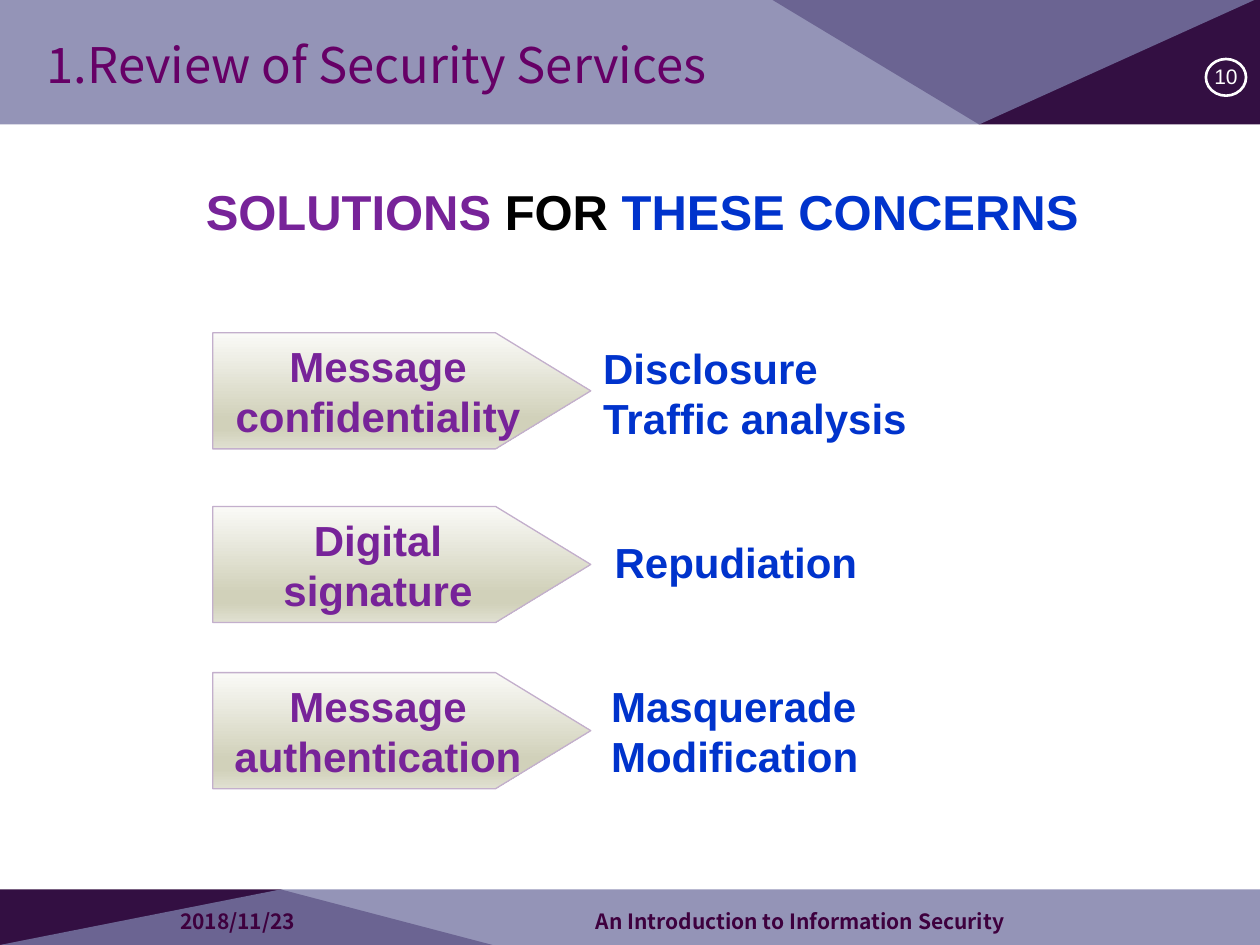
from dataclasses import dataclass

from lxml import etree
from pptx import Presentation
from pptx.dml.color import RGBColor
from pptx.enum import shapes, text
from pptx.oxml import ns
from pptx.util import Cm, Pt

COLOURS = {
    "dark": "330F42", "lavender": "7A7AA6", "title": "660066", "footer": "3E003E",
    "purple": "772399", "blue": "0033CC", "black": "000000", "white": "FFFFFF",
    "outline": "C3AFCC", "ivory": "FAFAF7", "sand": "D1D1BA", "shell": "E0E0D1",
}
PLATE_STOPS = ((0, "ivory"), (74, "sand"), (83, "sand"), (100, "shell"))
SANS, CJK = "Arial", "Noto Sans CJK SC"
WIDTH, HEIGHT = 25.4, 19.05
HEADER_TOP, HEADER_BOTTOM, FOOTER_TOP = -0.05, 2.51, 17.93
PLATE_LEFT, PLATE_WIDTH, PLATE_HEIGHT = 4.29, 7.62, 2.34


@dataclass
class Band:
    points: list[tuple[float, float]]
    colour: str
    opacity: int = 100


@dataclass
class Solution:
    service: str
    plate_top: float
    concerns: str
    concerns_at: tuple[float, float, float, float]


BANDS = [
    Band([(0, HEIGHT), (0, FOOTER_TOP), (5.66, FOOTER_TOP), (9.93, HEIGHT)], "dark"),
    Band([(0, HEIGHT), (5.66, FOOTER_TOP), (WIDTH, FOOTER_TOP), (WIDTH, HEIGHT)],
         "lavender", 80),
    Band([(WIDTH, HEADER_TOP), (WIDTH, HEADER_BOTTOM), (19.74, HEADER_BOTTOM),
          (15.49, HEADER_TOP)], "dark"),
    Band([(WIDTH, HEADER_TOP), (19.74, HEADER_BOTTOM), (0, HEADER_BOTTOM),
          (0, HEADER_TOP)], "lavender", 80),
]
SOLUTIONS = [
    Solution("Message\nconfidentiality", 6.71, "Disclosure\nTraffic analysis",
             (11.91, 6.78, 6.8, 2.31)),
    Solution("Digital\nsignature", 10.21, "Repudiation", (12.14, 10.69, 5.6, 1.27)),
    Solution("Message\nauthentication", 13.56, "Masquerade\nModification",
             (12.07, 13.59, 5.7, 2.31)),
]


def rgb(name: str) -> RGBColor:
    return RGBColor.from_string(COLOURS[name])


def lengths(*values: float) -> list[Cm]:
    return [Cm(value) for value in values]


def write(shape, content, *, size=24, font=SANS, colour="blue", bold=True,
          centred=False, middle=False, wrap=False) -> None:
    """Fill a shape with lines of text, or with one line of (text, colour) spans."""
    frame = shape.text_frame
    frame.word_wrap = wrap
    frame.vertical_anchor = text.MSO_ANCHOR.MIDDLE if middle else text.MSO_ANCHOR.TOP
    if isinstance(content, str):
        lines = [[(line, colour)] for line in content.split("\n")]
    else:
        lines = [content]
    for index, spans in enumerate(lines):
        para = frame.paragraphs[0] if index == 0 else frame.add_paragraph()
        para.alignment = text.PP_ALIGN.CENTER if centred else text.PP_ALIGN.LEFT
        for words, span_colour in spans:
            span = para.add_run()
            span.text = words
            span.font.name, span.font.size, span.font.bold = font, Pt(size), bold
            span.font.color.rgb = rgb(span_colour)


def add_text(page, at: tuple[float, float, float, float], content, **style) -> None:
    write(page.shapes.add_textbox(*lengths(*at)), content, **style)


def draw_band(page, band: Band) -> None:
    start, *others = [lengths(*point) for point in band.points]
    builder = page.shapes.build_freeform(*start)
    builder.add_line_segments(others, close=True)
    shape = builder.convert_to_shape()
    shape.shadow.inherit = False
    shape.line.fill.background()
    shape.fill.solid()
    shape.fill.fore_color.rgb = rgb(band.colour)
    if band.opacity < 100:
        colour = shape.element.spPr.find(ns.qn("a:solidFill")).find(ns.qn("a:srgbClr"))
        etree.SubElement(colour, ns.qn("a:alpha"), val=str(band.opacity * 1000))


def fill_plate(plate) -> None:
    """Give a plate its four-stop gradient, running from top to bottom."""
    plate.fill.gradient()
    plate.fill.gradient_angle = 270
    stops = plate.element.spPr.find(ns.qn("a:gradFill")).find(ns.qn("a:gsLst"))
    for stop in list(stops):
        stops.remove(stop)
    for position, name in PLATE_STOPS:
        stop = etree.SubElement(stops, ns.qn("a:gs"), pos=str(position * 1000))
        etree.SubElement(stop, ns.qn("a:srgbClr"), val=COLOURS[name])


def draw_solution(page, solution: Solution) -> None:
    plate = page.shapes.add_shape(
        shapes.MSO_SHAPE.PENTAGON,
        *lengths(PLATE_LEFT, solution.plate_top, PLATE_WIDTH, PLATE_HEIGHT))
    plate.adjustments[0] = 0.82
    plate.shadow.inherit = False
    fill_plate(plate)
    plate.line.color.rgb = rgb("outline")
    plate.line.width = Pt(0.75)
    write(plate, solution.service, colour="purple", centred=True, middle=True)
    add_text(page, solution.concerns_at, solution.concerns)


def draw_page_number(page, number: str) -> None:
    ring = page.shapes.add_shape(shapes.MSO_SHAPE.OVAL, *lengths(24.31, 1.19, 0.81, 0.74))
    ring.shadow.inherit = False
    ring.fill.background()
    ring.line.color.rgb = rgb("white")
    ring.line.width = Pt(1.5)
    frame = ring.text_frame
    frame.margin_left = frame.margin_right = Cm(0.03)
    frame.margin_top = frame.margin_bottom = Cm(0.03)
    write(ring, number, size=12, colour="white", bold=False, centred=True, middle=True,
          wrap=True)
    frame.paragraphs[0].line_spacing = 0.9


def place_title(page, words: str) -> None:
    title = page.shapes.title
    title.left, title.top, title.width, title.height = lengths(0.69, 0.53, 16.2, 1.52)
    write(title, words, size=28, font=CJK, colour="title", bold=False, middle=True,
          wrap=True)
    title.element.getparent().append(title.element)  # in front of the bands


def main() -> None:
    deck = Presentation()
    deck.slide_width, deck.slide_height = lengths(WIDTH, HEIGHT)
    page = deck.slides.add_slide(deck.slide_layouts[5])
    for band in BANDS:
        draw_band(page, band)
    draw_page_number(page, "10")
    footer = dict(size=12, font=CJK, colour="footer", middle=True, wrap=True)
    add_text(page, (3.38, 18.19, 5.92, 0.74), "2018/11/23", **footer)
    add_text(page, (11.76, 18.19, 12.14, 0.74),
             "An Introduction to Information Security", **footer)
    place_title(page, "1.Review of Security Services")
    add_text(page, (3.89, 3.53, 18.11, 1.45),
             [("SOLUTIONS ", "purple"), ("FOR", "black"), (" THESE CONCERNS", "blue")],
             size=28, centred=True)
    for solution in SOLUTIONS:
        draw_solution(page, solution)
    deck.save("out.pptx")


if __name__ == "__main__":
    main()
